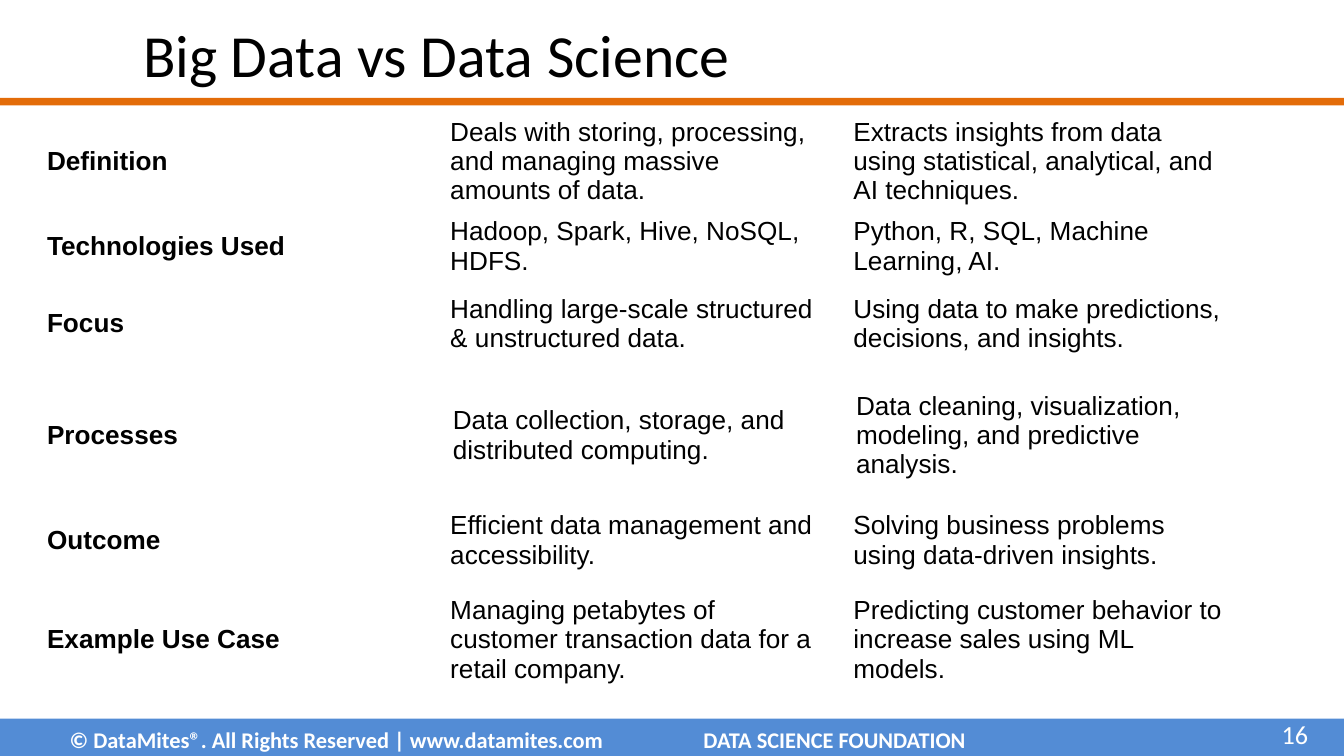
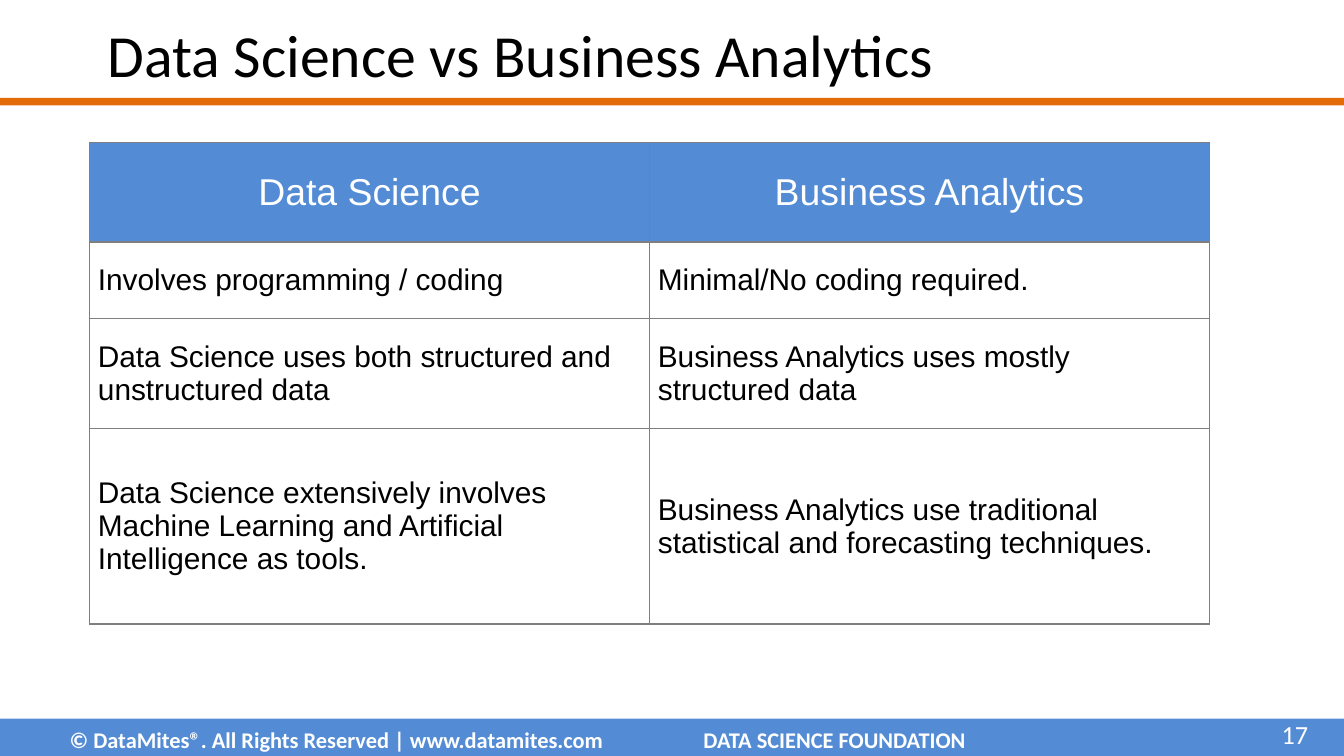
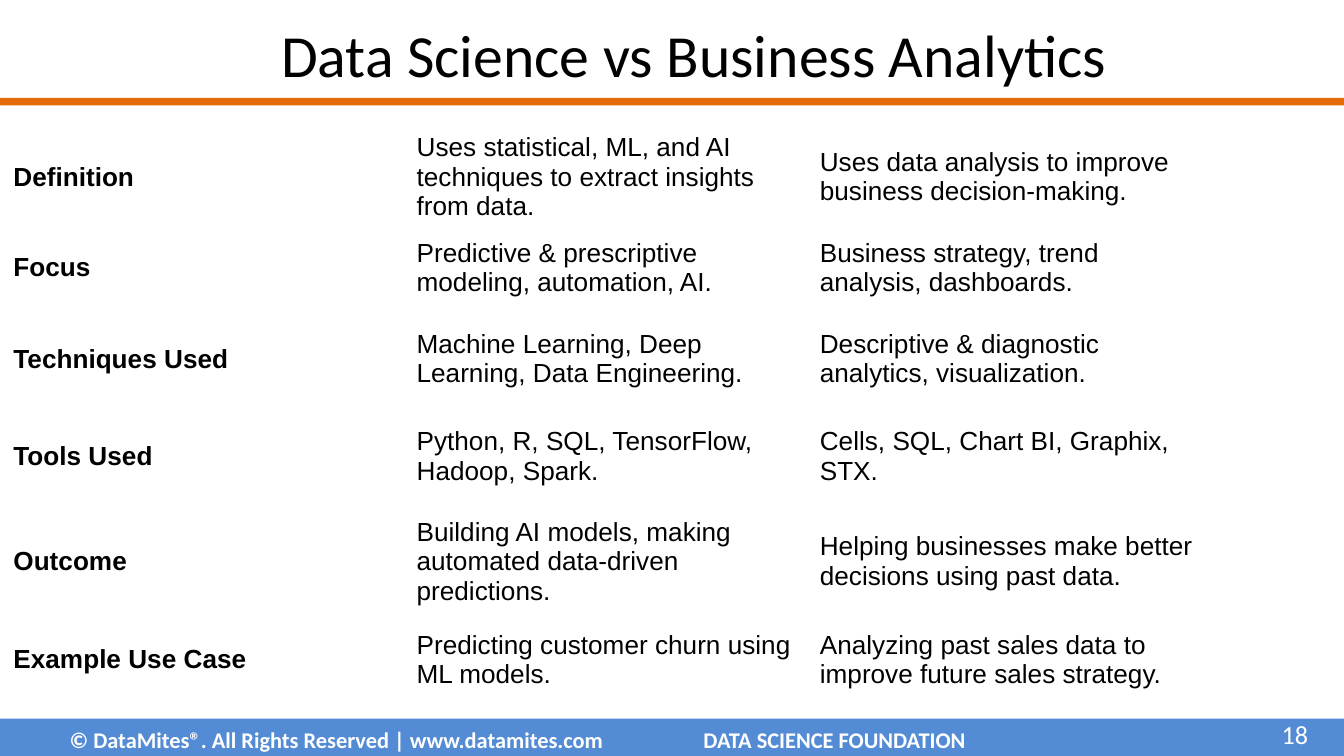
from lxml.etree import SubElement
from pptx import Presentation
from pptx.dml.color import RGBColor
from pptx.enum.shapes import MSO_SHAPE as Shape
from pptx.enum.text import MSO_ANCHOR as Anchor, MSO_AUTO_SIZE as Auto, PP_ALIGN as Align
from pptx.oxml.ns import qn
from pptx.util import Pt

BLUE = RGBColor(0x53, 0x8C, 0xD5)
ORANGE = RGBColor(0xE3, 0x6C, 0x09)
GREY = RGBColor(0x7F, 0x7F, 0x7F)
WHITE = RGBColor(0xFF, 0xFF, 0xFF)
BLACK = RGBColor(0, 0, 0)

BANDS = [(385, 20, BLUE), (52.5, 4, ORANGE)]
OWNER = "© DataMites®. All Rights Reserved | www.datamites.com"
COURSE = "DATA SCIENCE FOUNDATION"
SIDES = ["a:lnL", "a:lnR", "a:lnT", "a:lnB"]


def write(frame, text, size, face, color, bold=False, align=Align.LEFT):
    frame.word_wrap = True
    frame.vertical_anchor = Anchor.MIDDLE
    par = frame.paragraphs[0]
    par.alignment = align
    run = par.add_run()
    run.text = text
    font = run.font
    font.size, font.name, font.bold = Pt(size), face, bold
    font.color.rgb = color


def grid(slide, left, top, widths, heights):
    frame = slide.shapes.add_table(
        len(heights), len(widths), Pt(left), Pt(top), Pt(sum(widths)), Pt(sum(heights)))
    table = frame.table
    table.first_row = table.horz_banding = False
    for col, width in zip(table.columns, widths):
        col.width = Pt(width)
    for row, height in zip(table.rows, heights):
        row.height = Pt(height)
    return table


deck = Presentation()
deck.slide_width, deck.slide_height = Pt(720), Pt(405)

slides = []
for number, name, width in [
    (16, "Big Data vs Data Science", 396),
    (17, "Data Science vs Business Analytics", 486),
    (18, "Data Science vs Business Analytics", 672),
]:
    slide = deck.slides.add_slide(deck.slide_layouts[5])
    slides.append(slide)
    for top, height, color in BANDS:
        band = slide.shapes.add_shape(Shape.RECTANGLE, 0, Pt(top), Pt(720), Pt(height))
        band.shadow.inherit = False
        band.fill.solid()
        band.fill.fore_color.rgb = color
        band.line.fill.background()

    title = slide.shapes.title
    title.left, title.top, title.width, title.height = Pt(36), Pt(11), Pt(width), Pt(36)
    title.text_frame.auto_size = Auto.NONE
    write(title.text_frame, name, 32, "Calibri", BLACK, align=Align.CENTER)

    foot = slide.shapes.add_textbox(Pt(30.2), Pt(385.2), Pt(562.3), Pt(21.6)).text_frame
    props = foot.paragraphs[0]._p.get_or_add_pPr()
    tabs = SubElement(props, qn("a:tabLst"))
    SubElement(tabs, qn("a:tab"), pos=str(Pt(339.6)), algn="l")
    write(foot, OWNER + "\t" + COURSE, 12, "Calibri", WHITE, True)

    page = slide.shapes.add_textbox(Pt(666), Pt(381.6), Pt(41.8), Pt(23)).text_frame
    write(page, str(number), 14, "Calibri", WHITE, align=Align.RIGHT)

BIG = [
    (57.6, 3, "Definition",
     "Deals with storing, processing, and managing massive amounts of data.",
     "Extracts insights from data using statistical, analytical, and AI techniques."),
    (111.6, 2, "Technologies Used",
     "Hadoop, Spark, Hive, NoSQL, HDFS.",
     "Python, R, SQL, Machine Learning, AI."),
    (153, 2, "Focus",
     "Handling large-scale structured & unstructured data.",
     "Using data to make predictions, decisions, and insights."),
    (204.5, 3, "Processes",
     "Data collection, storage, and distributed computing.",
     "Data cleaning, visualization, modeling, and predictive analysis."),
    (269, 2, "Outcome",
     "Efficient data management and accessibility.",
     "Solving business problems using data-driven insights."),
    (313.9, 3, "Example Use Case",
     "Managing petabytes of customer transaction data for a retail company.",
     "Predicting customer behavior to increase sales using ML models."),
]
TRADE = [
    (66, 3, "Definition",
     "Uses statistical, ML, and AI techniques to extract insights from data.",
     "Uses data analysis to improve business decision-making."),
    (123, 2, "Focus",
     "Predictive & prescriptive modeling, automation, AI.",
     "Business strategy, trend analysis, dashboards."),
    (172, 2, "Techniques Used",
     "Machine Learning, Deep Learning, Data Engineering.",
     "Descriptive & diagnostic analytics, visualization."),
    (224, 2, "Tools Used",
     "Python, R, SQL, TensorFlow, Hadoop, Spark.",
     "Cells, SQL, Chart BI, Graphix, STX."),
    (272, 3, "Outcome",
     "Building AI models, making automated data-driven predictions.",
     "Helping businesses make better decisions using past data."),
    (333, 2, "Example Use Case",
     "Predicting customer churn using ML models.",
     "Analyzing past sales data to improve future sales strategy."),
]

for slide, left, topics in [(slides[0], 18, BIG), (slides[2], 0, TRADE)]:
    for top, lines, *texts in topics:
        first = 217.4 if texts[0] == "Processes" else 216
        table = grid(slide, left, top, [first, 216, 216], [7.2 + 16.1 * lines])
        for col, text in enumerate(texts):
            cell = table.cell(0, col)
            cell.fill.background()
            cell.vertical_anchor = Anchor.MIDDLE
            write(cell.text_frame, text, 14, "Arial", BLACK, col == 0)

PAIRS = [
    ("Data Science", "Business Analytics"),
    ("Involves programming / coding", "Minimal/No coding required."),
    ("Data Science uses both structured and unstructured data",
     "Business Analytics uses mostly structured data"),
    ("Data Science extensively involves Machine Learning and Artificial Intelligence as tools.",
     "Business Analytics use traditional statistical and forecasting techniques."),
]
table = grid(slides[1], 48, 76.4, [300, 300], [53.3, 41, 59, 104.6])
for row, pair in enumerate(PAIRS):
    head = row == 0
    for col, text in enumerate(pair):
        cell = table.cell(row, col)
        cell.margin_left = cell.margin_right = Pt(4.5)
        cell.vertical_anchor = Anchor.MIDDLE
        props = cell._tc.get_or_add_tcPr()
        for side in SIDES:
            line = SubElement(props, qn(side), w=str(Pt(1)))
            fill = SubElement(line, qn("a:solidFill"))
            SubElement(fill, qn("a:srgbClr"), val=str(GREY))
        cell.fill.solid()
        cell.fill.fore_color.rgb = BLUE if head else WHITE
        write(cell.text_frame, text, 20 if head else 16, "Arial",
              WHITE if head else BLACK, align=Align.CENTER if head else Align.LEFT)

deck.save("out.pptx")
